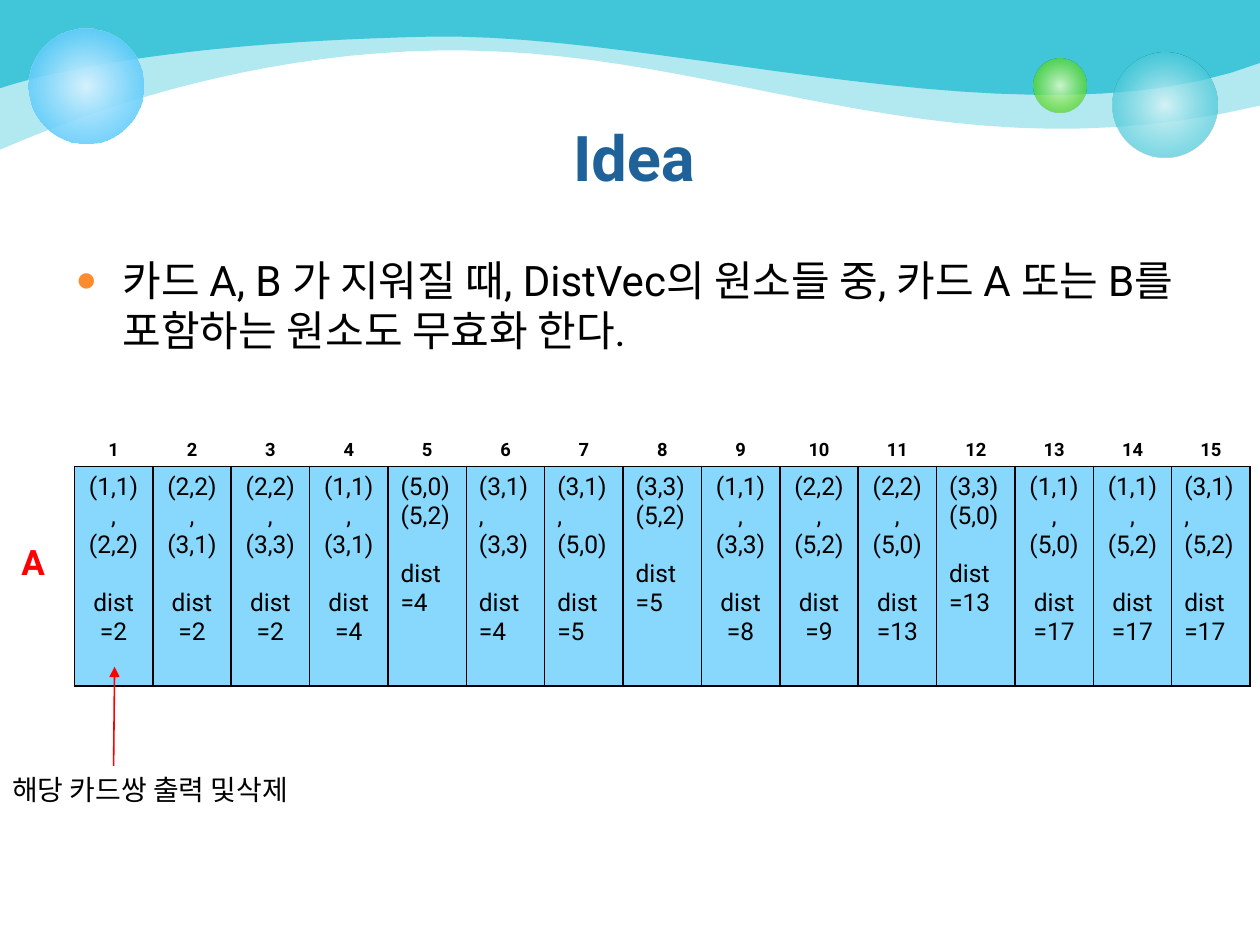
import pptx
import pptx.util
import pptx.dml.color
import pptx.enum.shapes
import pptx.enum.text
import pptx.oxml
import pptx.oxml.ns
from lxml import etree

Cm = pptx.util.Cm
Pt = pptx.util.Pt
ALIGN = pptx.enum.text.PP_ALIGN
ANCHOR = pptx.enum.text.MSO_ANCHOR

FONT = "Roboto"
COLORS = {
    "wave": "40C6D8", "title": "1F6299", "bullet": "FE8C2E", "text": "000000",
    "alert": "FF0000", "card": "33BDFB", "plain": "FFFFFF",
    "teal light": "D9F4F7", "green light": "DAFACD", "green": "4CD416",
    "blue light": "D6F2FE",
}

TITLE = "Idea"
IDEA = "카드 A, B 가 지워질 때, DistVec의 원소들 중, 카드 A 또는 B를 포함하는 원소도 무효화 한다."
ROW_LABEL = "A"
CAPTION = "해당 카드쌍 출력 및삭제"
PAIRS = [
    ("(1,1),", "(2,2)", 2), ("(2,2),", "(3,1)", 2), ("(2,2),", "(3,3)", 2),
    ("(1,1),", "(3,1)", 4), ("(5,0)", "(5,2)", 4), ("(3,1),", "(3,3)", 4),
    ("(3,1),", "(5,0)", 5), ("(3,3)", "(5,2)", 5), ("(1,1),", "(3,3)", 8),
    ("(2,2),", "(5,2)", 9), ("(2,2),", "(5,0)", 13), ("(3,3)", "(5,0)", 13),
    ("(1,1),", "(5,0)", 17), ("(1,1),", "(5,2)", 17), ("(3,1),", "(5,2)", 17),
]
LEFT_ALIGNED = {5, 6, 7, 8, 12, 15}

WAVES = [
    (40, (0, 3.02), [
        ((0.84, 2.67), (5, 0.79), (10.06, 1.04)),
        ((15.11, 1.27), (19.35, 3.56), (25.4, 2.13))]),
    (100, (0, 1.78), [
        ((1.14, 1.4), (3.89, 0.84), (8.66, 0.74)),
        ((13.44, 0.64), (20.83, 3.02), (25.4, 1.27))]),
]
BUBBLES = [
    (22.43, 1.07, 2.11, ("teal light", 90), ("wave", 70), 76),
    (20.83, 1.19, 1.07, ("green light", 90), ("green", 70), 76),
    (0.58, 0.58, 2.31, ("blue light", 100), ("card", 80), 100),
]
CURVE_STEPS = 24
COLUMN_WIDTH = 1.58
ROW_HEIGHTS = (0.66, 4.42)


def rgb(name):
    return pptx.dml.color.RGBColor.from_string(COLORS[name])


def element(markup):
    head, rest = markup.split(" ", 1) if " " in markup.split(">")[0] else markup.split(">", 1)
    joiner = " " if " " in markup.split(">")[0] else ">"
    return pptx.oxml.parse_xml(f"{head} {pptx.oxml.ns.nsdecls('a')}{joiner}{rest}")


def color_xml(name, alpha):
    return f'<a:srgbClr val="{COLORS[name]}"><a:alpha val="{alpha * 1000}"/></a:srgbClr>'


def write(paragraph, text, size, color="text", bold=False, align=ALIGN.LEFT):
    paragraph.alignment = align
    run = paragraph.add_run()
    run.text = text
    run.font.name, run.font.size, run.font.bold = FONT, Pt(size), bold
    run.font.color.rgb = rgb(color)


def place(shape, left, top, width, height):
    shape.left, shape.top, shape.width, shape.height = map(Cm, (left, top, width, height))


def bezier(start, curve):
    for step in range(1, CURVE_STEPS + 1):
        t = step / CURVE_STEPS
        weights = ((1 - t) ** 3, 3 * t * (1 - t) ** 2, 3 * t * t * (1 - t), t ** 3)
        yield tuple(Cm(sum(w * p[axis] for w, p in zip(weights, (start, *curve))))
                    for axis in (0, 1))


def add_wave(slide, alpha, start, curves):
    builder = slide.shapes.build_freeform(0, 0)
    points = [tuple(map(Cm, start))]
    for curve in curves:
        points += bezier(start, curve)
        start = curve[-1]
    builder.add_line_segments(points + [(Cm(25.4), 0)], close=True)
    wave = builder.convert_to_shape()
    wave.shadow.inherit = False
    wave.line.fill.background()
    wave.fill.solid()
    wave.fill.fore_color.rgb = rgb("wave")
    tint = wave._element.spPr.find(".//" + pptx.oxml.ns.qn("a:srgbClr"))
    etree.SubElement(tint, pptx.oxml.ns.qn("a:alpha")).set("val", str(alpha * 1000))


def add_bubble(slide, left, top, size, center, rim, rim_stop):
    bubble = slide.shapes.add_shape(pptx.enum.shapes.MSO_SHAPE.OVAL,
                                    Cm(left), Cm(top), Cm(size), Cm(size))
    bubble.shadow.inherit = False
    bubble.line.fill.background()
    bubble._element.spPr.find(pptx.oxml.ns.qn("a:prstGeom")).addnext(element(
        f'<a:gradFill rotWithShape="1"><a:gsLst><a:gs pos="0">{color_xml(*center)}</a:gs>'
        f'<a:gs pos="{rim_stop * 1000}">{color_xml(*rim)}</a:gs></a:gsLst>'
        '<a:path path="circle"><a:fillToRect l="50000" t="50000" r="50000" b="50000"/>'
        '</a:path></a:gradFill>'))


def style_cell(cell, fill, alpha, borders):
    properties = cell._tc.get_or_add_tcPr()
    for side, color in zip("LRTB", borders):
        properties.append(element(
            f'<a:ln{side} w="12700"><a:solidFill>{color_xml(color, 100)}</a:solidFill></a:ln{side}>'))
    properties.append(element(f'<a:solidFill>{color_xml(fill, alpha)}</a:solidFill>'))


def add_pairs_table(slide):
    count = len(PAIRS)
    table = slide.shapes.add_table(2, count, Cm(1.5), Cm(8.71), Cm(COLUMN_WIDTH * count),
                                   Cm(sum(ROW_HEIGHTS))).table
    table.first_row = table.horz_banding = False
    for row, height in zip(table.rows, ROW_HEIGHTS):
        row.height = Cm(height)
    for number, (first, second, distance) in enumerate(PAIRS, 1):
        table.columns[number - 1].width = Cm(COLUMN_WIDTH)
        heading, pair = (table.cell(row, number - 1) for row in (0, 1))
        heading.vertical_anchor = ANCHOR.BOTTOM
        write(heading.text_frame.paragraphs[0], str(number), 10.5, bold=True, align=ALIGN.CENTER)
        style_cell(heading, "plain", 100, ("plain", "plain", "plain", "text"))

        align = ALIGN.LEFT if number in LEFT_ALIGNED else ALIGN.CENTER
        frame = pair.text_frame
        write(frame.paragraphs[0], first, 14, align=align)
        write(frame.add_paragraph(), second, 14, align=align)
        distance_line = frame.add_paragraph()
        distance_line.space_before = Pt(16.5)
        write(distance_line, f"dist={distance}", 14, align=align)
        style_cell(pair, "card", 59, ("text",) * 4)


def add_label(slide, box, text, size, color="text", bold=False):
    frame = slide.shapes.add_textbox(*map(Cm, box)).text_frame
    frame.word_wrap = True
    write(frame.paragraphs[0], text, size, color, bold)


def main():
    deck = pptx.Presentation()
    deck.slide_width, deck.slide_height = Cm(25.4), Cm(19.05)
    slide = deck.slides.add_slide(deck.slide_layouts[1])
    title, idea = slide.placeholders

    for wave in WAVES:
        add_wave(slide, *wave)
    for bubble in BUBBLES:
        add_bubble(slide, *bubble)

    place(title, 1.35, 2.26, 22.86, 3.18)
    place(idea, 1.27, 5, 23.42, 5.97)
    for placeholder in (title, idea):
        slide.shapes._spTree.append(placeholder._element)
        placeholder.text_frame.auto_size = pptx.enum.text.MSO_AUTO_SIZE.NONE
        placeholder.text_frame.vertical_anchor = ANCHOR.TOP
    write(title.text_frame.paragraphs[0], TITLE, 36, "title", True, ALIGN.CENTER)

    sentence = idea.text_frame.paragraphs[0]
    bullet = sentence._p.get_or_add_pPr()
    bullet.set("marL", str(Cm(0.95)))
    bullet.set("indent", str(Cm(-0.95)))
    for markup in (f'<a:buClr>{color_xml("bullet", 100)}</a:buClr>',
                   '<a:buSzPct val="85000"/>', '<a:buChar char="●"/>'):
        bullet.append(element(markup))
    sentence.space_before = Pt(0)
    write(sentence, IDEA, 24)

    add_label(slide, (0.18, 10.77, 1.09, 1.12), ROW_LABEL, 20, "alert", True)
    add_pairs_table(slide)

    arrow = slide.shapes.add_connector(pptx.enum.shapes.MSO_CONNECTOR.STRAIGHT,
                                       Cm(2.29), Cm(15.44), Cm(2.31), Cm(13.44))
    arrow.line.color.rgb = rgb("alert")
    arrow.line.width = Pt(0.9)
    arrow.line._get_or_add_ln().append(element('<a:tailEnd type="triangle"/>'))
    etree.SubElement(arrow._element.spPr, pptx.oxml.ns.qn("a:effectLst"))

    add_label(slide, (0, 15.44, 6.83, 0.94), CAPTION, 16)
    deck.save("out.pptx")


if __name__ == "__main__":
    main()
